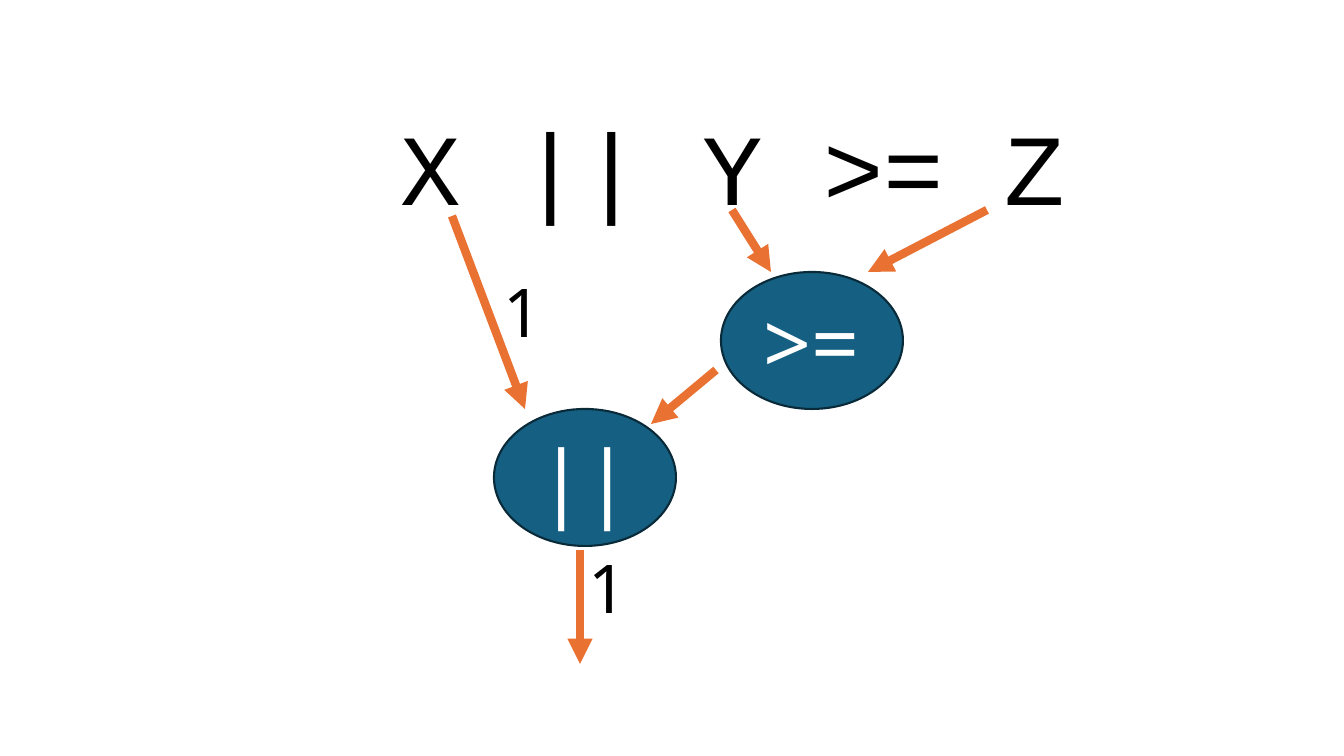
from pptx import Presentation
from pptx.dml.color import RGBColor
from pptx.enum.shapes import MSO_CONNECTOR, MSO_SHAPE
from pptx.enum.text import MSO_ANCHOR, MSO_AUTO_SIZE, PP_ALIGN
from pptx.oxml.ns import qn
from pptx.util import Emu, Pt
from lxml.etree import SubElement

EMU_PER_PX = 914400 / 100.8


def px(*lengths):
    return [Emu(round(length * EMU_PER_PX)) for length in lengths]


def write(frame, text, size, font, colour, align):
    para = frame.paragraphs[0]
    para.alignment = align
    span = para.add_run()
    span.text = text
    span.font.size = Pt(size)
    span.font.name = font
    span.font.color.rgb = RGBColor.from_string(colour)


deck = Presentation()
deck.slide_width, deck.slide_height = px(1344, 756)
page = deck.slides.add_slide(deck.slide_layouts[5])

# Expression
title = page.shapes.title
title.left, title.top, title.width, title.height = px(140, 115, 1125, 101)
title.fill.solid()
title.fill.fore_color.rgb = RGBColor.from_string("FFFFFF")
title.text_frame.auto_size = MSO_AUTO_SIZE.NONE
title.text_frame.vertical_anchor = MSO_ANCHOR.MIDDLE
write(title.text_frame, " X || Y >= Z", 72, "Courier New", "000000", PP_ALIGN.CENTER)

# Operators
for operator, left, top in [("||", 494, 409), (">=", 721, 272)]:
    node = page.shapes.add_shape(MSO_SHAPE.OVAL, *px(left, top, 182, 137))
    node.shadow.inherit = False
    node.fill.solid()
    node.fill.fore_color.rgb = RGBColor.from_string("156082")
    node.line.color.rgb = RGBColor.from_string("092A39")
    node.line.width = Pt(1.5)
    node.text_frame.vertical_anchor = MSO_ANCHOR.MIDDLE
    write(node.text_frame, operator, 60, "Noto Sans", "FFFFFF", PP_ALIGN.CENTER)

# Data flow
arrows = [
    (716, 370, 651, 424),  # >= to ||
    (580, 550, 580, 664),  # || to result
    (987, 210, 868, 272),  # Z to >=
    (732, 210, 771, 272),  # Y to >=
    (452, 216, 525, 409),  # X to ||
]
for ends in arrows:
    arrow = page.shapes.add_connector(MSO_CONNECTOR.STRAIGHT, *px(*ends))
    arrow.line.color.rgb = RGBColor.from_string("E97132")
    arrow.line.width = Pt(6)
    SubElement(arrow.line._get_or_add_ln(), qn("a:tailEnd"), type="triangle")
    SubElement(arrow._element.spPr, qn("a:effectLst"))

# Truth values
for left, top in [(494, 265), (579, 541)]:
    box = page.shapes.add_textbox(*px(left, top, 56, 92))
    box.text_frame.word_wrap = False
    box.text_frame.auto_size = MSO_AUTO_SIZE.SHAPE_TO_FIT_TEXT
    write(box.text_frame, "1", 48, "Noto Sans", "000000", PP_ALIGN.LEFT)

deck.save("out.pptx")
